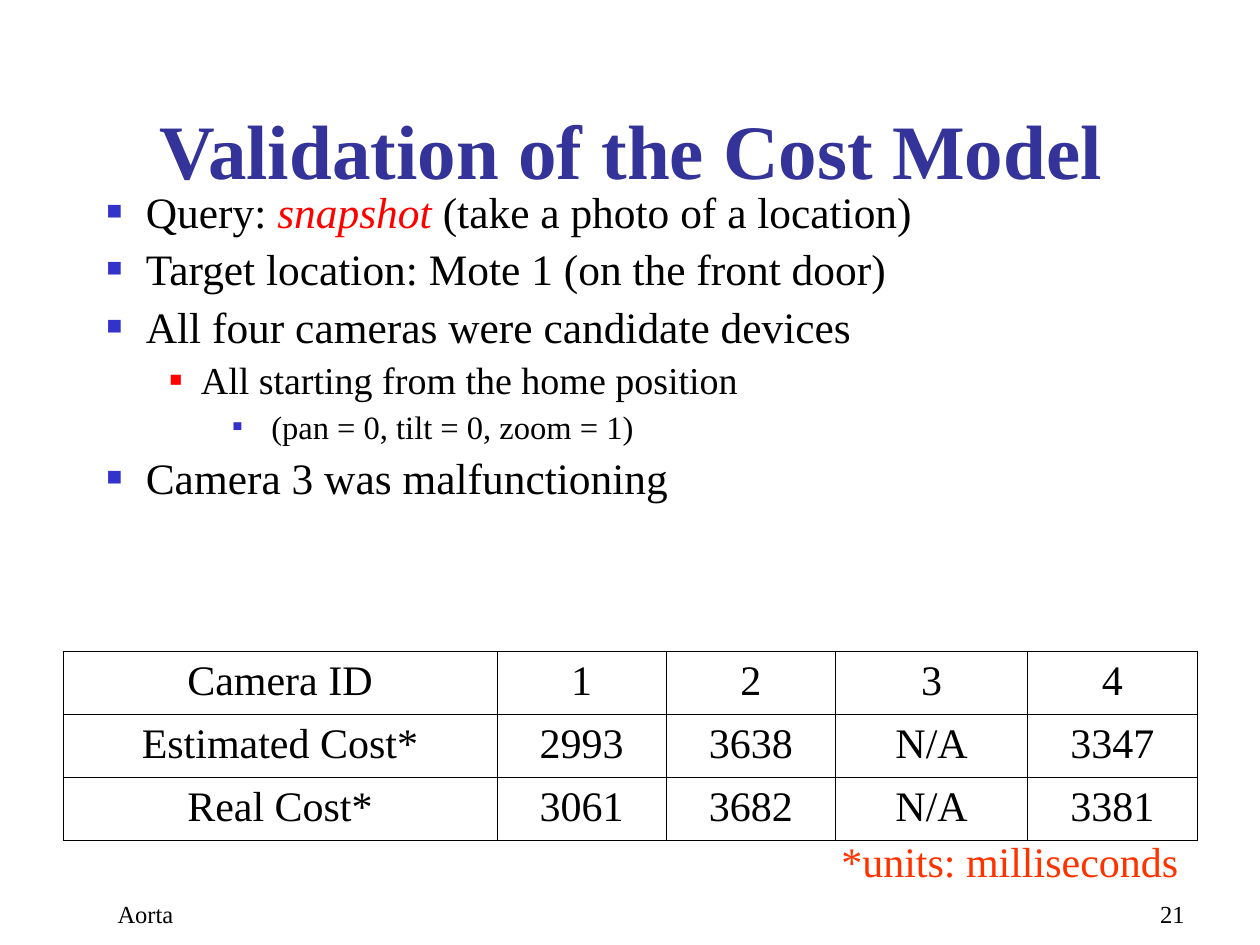
import pptx
import pptx.util
import pptx.oxml
from pptx.dml.color import RGBColor
from pptx.enum.text import MSO_ANCHOR, MSO_AUTO_SIZE, PP_ALIGN
from pptx.oxml.ns import qn
from pptx.util import Cm, Pt

FONT = "Times New Roman"
BLACK = RGBColor(0x00, 0x00, 0x00)
RED = RGBColor(0xFF, 0x00, 0x00)
ORANGE = RGBColor(0xFF, 0x33, 0x00)
NAVY = RGBColor(0x33, 0x33, 0x99)
BLUE = RGBColor(0x33, 0x33, 0xCC)

# Content
TITLE = "Validation of the Cost Model"
BULLETS = [  # level, runs of (text, format)
    (0, [("Query: ", {}), ("snapshot ", {"color": RED, "italic": True}),
         ("(take a photo of a location)", {})]),
    (0, [("Target location: Mote 1 (on the front door)", {})]),
    (0, [("All four cameras were candidate devices", {})]),
    (1, [("All starting from the home position", {})]),
    (2, [("(pan = 0, tilt = 0, zoom = 1)", {})]),
    (0, [("Camera 3 was malfunctioning", {})]),
]
LEVELS = [  # text size, space before, left margin, hanging indent, bullet
    {"size": 24.8, "before": 9, "margin": 0.79, "hang": 0.79, "bullet": BLUE, "percent": 60},
    {"size": 21.7, "before": 8, "margin": 1.9, "hang": 0.63, "bullet": RED, "percent": 55},
    {"size": 18.6, "before": 7, "margin": 3.32, "hang": 0.78, "bullet": BLUE, "percent": 50},
]
COSTS = [
    ("Camera ID", "1", "2", "3", "4"),
    ("Estimated Cost*", "2993", "3638", "N/A", "3347"),
    ("Real Cost*", "3061", "3682", "N/A", "3381"),
]
COLUMN_WIDTHS = [8.75, 3.41, 3.41, 3.88, 3.41]
ROW_HEIGHT = 1.27
LABELS = [  # text, (left, top, width, height), format, anchor
    ("*units: milliseconds", (16.71, 16.71, 8, 1.27), {"size": 24, "color": ORANGE}, MSO_ANCHOR.TOP),
    ("21", (18.84, 17.57, 5.29, 1.27), {"size": 14, "align": PP_ALIGN.RIGHT}, MSO_ANCHOR.BOTTOM),
    ("Aorta", (2.12, 17.57, 5.29, 1.27), {"size": 14}, MSO_ANCHOR.BOTTOM),
]


def add_text(paragraph, text, size=24, color=BLACK, bold=False, italic=False,
             align=PP_ALIGN.LEFT):
    paragraph.alignment = align
    run = paragraph.add_run()
    run.text = text
    run.font.name = FONT
    run.font.size = Pt(size)
    run.font.bold = bold
    run.font.italic = italic
    run.font.color.rgb = color


def add_box(slide, place, anchor=MSO_ANCHOR.TOP):
    frame = slide.shapes.add_textbox(*map(Cm, place)).text_frame
    frame.word_wrap = True
    frame.vertical_anchor = anchor
    return frame


def set_bullet(paragraph, level):
    properties = paragraph._p.get_or_add_pPr()
    properties.set("marL", str(Cm(level["margin"])))
    properties.set("indent", str(-Cm(level["hang"])))
    color = pptx.oxml.xmlchemy.OxmlElement("a:buClr")
    color.append(pptx.oxml.xmlchemy.OxmlElement("a:srgbClr"))
    color[0].set("val", str(level["bullet"]))
    size = pptx.oxml.xmlchemy.OxmlElement("a:buSzPct")
    size.set("val", str(level["percent"] * 1000))
    font = pptx.oxml.xmlchemy.OxmlElement("a:buFont")
    font.set("typeface", FONT)
    character = pptx.oxml.xmlchemy.OxmlElement("a:buChar")
    character.set("char", "■")
    properties.extend([color, size, font, character])


def set_borders(cell):
    properties = cell._tc.get_or_add_tcPr()
    for side in ("a:lnL", "a:lnR", "a:lnT", "a:lnB"):
        line = pptx.oxml.xmlchemy.OxmlElement(side)
        line.set("w", str(Pt(0.45)))
        fill = pptx.oxml.xmlchemy.OxmlElement("a:solidFill")
        color = pptx.oxml.xmlchemy.OxmlElement("a:srgbClr")
        color.set("val", str(BLACK))
        fill.append(color)
        line.append(fill)
        properties.append(line)


def main():
    presentation = pptx.Presentation()
    presentation.slide_width, presentation.slide_height = Cm(25.4), Cm(19.05)
    slide = presentation.slides.add_slide(presentation.slide_layouts[5])

    # Title
    title = slide.shapes.title
    title.left, title.top, title.width, title.height = map(Cm, (0.84, 1.7, 23.77, 2.36))
    title.text_frame.vertical_anchor = MSO_ANCHOR.BOTTOM
    title.text_frame.auto_size = MSO_AUTO_SIZE.NONE
    add_text(title.text_frame.paragraphs[0], TITLE, size=44, color=NAVY, bold=True,
             align=PP_ALIGN.CENTER)

    # Cost table
    table = slide.shapes.add_table(
        len(COSTS), len(COLUMN_WIDTHS), Cm(1.27), Cm(13.13),
        Cm(sum(COLUMN_WIDTHS)), Cm(ROW_HEIGHT * len(COSTS))).table
    table.first_row = table.horz_banding = False
    for column, width in zip(table.columns, COLUMN_WIDTHS):
        column.width = Cm(width)
    for row, values in zip(table.rows, COSTS):
        row.height = Cm(ROW_HEIGHT)
        for cell, value in zip(row.cells, values):
            set_borders(cell)
            cell.fill.background()
            add_text(cell.text_frame.paragraphs[0], value, align=PP_ALIGN.CENTER)

    # Bullet list
    frame = add_box(slide, (1.9, 3.81, 22.43, 7.29))
    for index, (depth, runs) in enumerate(BULLETS):
        level = LEVELS[depth]
        paragraph = frame.add_paragraph() if index else frame.paragraphs[0]
        paragraph.level = depth
        set_bullet(paragraph, level)
        paragraph.line_spacing = 0.8
        paragraph.space_before = Pt(level["before"] if index else 0)
        for text, style in runs:
            add_text(paragraph, text, size=level["size"], **style)

    # Units note, slide number and footer
    for text, place, style, anchor in LABELS:
        add_text(add_box(slide, place, anchor).paragraphs[0], text, **style)

    presentation.save("out.pptx")


if __name__ == "__main__":
    main()
